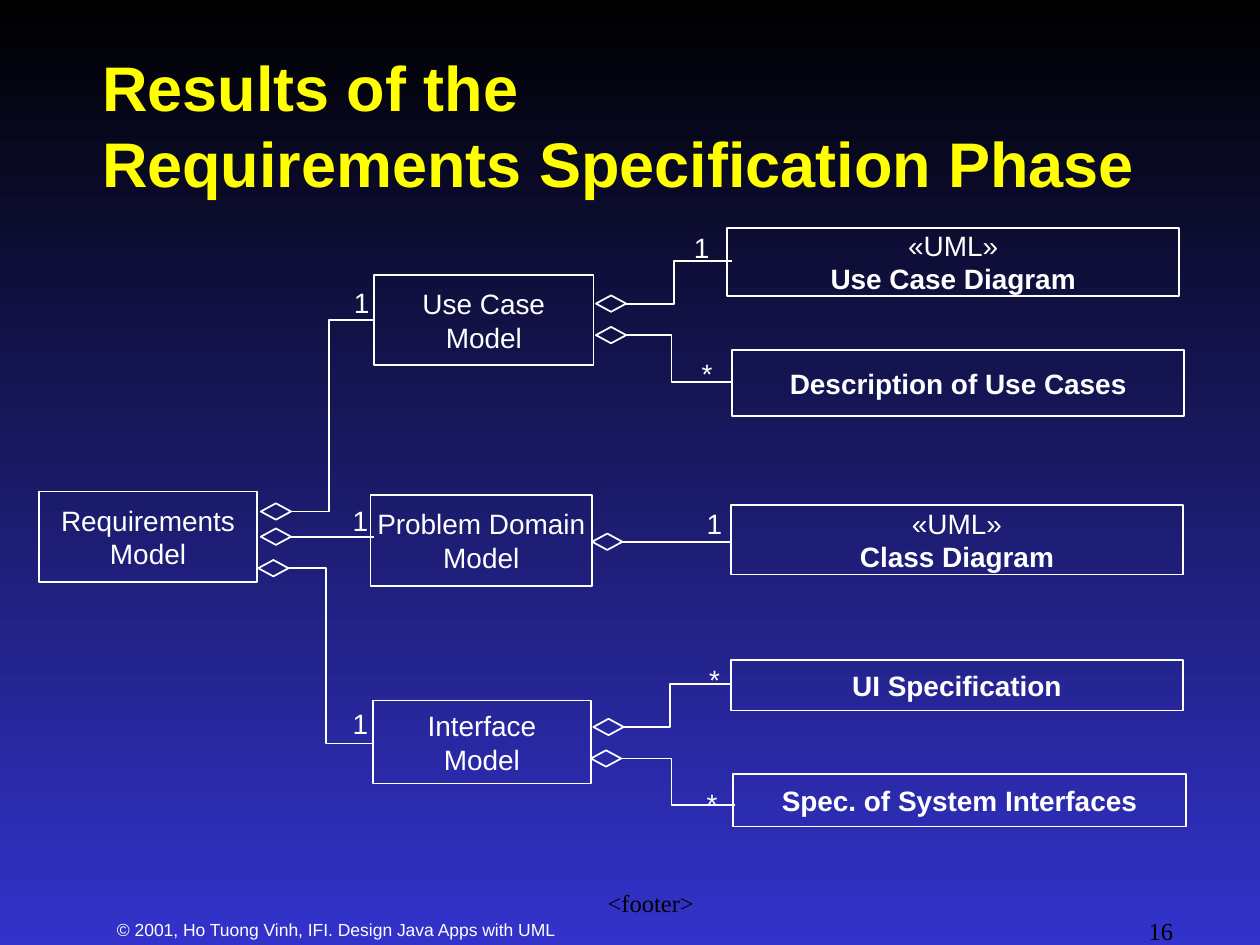
from lxml.etree import SubElement
from pptx import Presentation
from pptx.dml.color import RGBColor
from pptx.enum.shapes import MSO_CONNECTOR as Line, MSO_SHAPE as Shape
from pptx.enum.text import MSO_ANCHOR as Anchor, MSO_AUTO_SIZE as Auto, PP_ALIGN as Align
from pptx.oxml.ns import qn
from pptx.util import Inches, Pt

BLACK = RGBColor(0x00, 0x00, 0x00)
BLUE = RGBColor(0x33, 0x33, 0xCC)
WHITE = RGBColor(0xFF, 0xFF, 0xFF)
YELLOW = RGBColor(0xFF, 0xFF, 0x00)

BODY = {"name": "Arial", "size": Pt(16), "bold": False}
HEAD = {"name": "Arial", "size": Pt(36), "bold": True}
NOTE = {"name": "Arial", "size": Pt(10)}
SERIF = {"name": "Times New Roman", "size": Pt(14)}
INSET = {"margin_left": Inches(0.1), "margin_right": Inches(0.1),
         "margin_top": Inches(0.05), "margin_bottom": Inches(0.05)}
NODE = {**INSET, "word_wrap": False, "vertical_anchor": Anchor.MIDDLE}
MARK = {**INSET, "word_wrap": False, "auto_size": Auto.SHAPE_TO_FIT_TEXT}
TITLE = {**INSET, "word_wrap": True, "vertical_anchor": Anchor.MIDDLE,
         "auto_size": Auto.NONE}

GEM_W, GEM_H = 0.24, 0.13

MODELS = [
    ((0.31, 3.9, 1.73, 0.72), ["Requirements", "Model"]),
    ((2.97, 2.18, 1.74, 0.72), ["Use Case", "Model"]),
    ((2.94, 3.93, 1.76, 0.72), ["Problem Domain", "Model"]),
    ((2.96, 5.56, 1.73, 0.66), ["Interface", "Model"]),
]
PARTS = [
    ((5.77, 1.81, 3.59, 0.54), ["«UML»", "Use Case Diagram"]),
    ((5.81, 2.78, 3.59, 0.52), ["Description of Use Cases"]),
    ((5.8, 4.01, 3.59, 0.55), ["«UML»", "Class Diagram"]),
    ((5.8, 5.24, 3.59, 0.4), ["UI Specification"]),
    ((5.82, 6.14, 3.59, 0.42), ["Spec. of System Interfaces"]),
]
LINKS = [
    ((2.31, 4.06, 0.66, -1.52), 0.3, "1", (2.71, 2.22)),
    ((2.31, 4.26, 0.66, 0), 0, "1", (2.7, 3.95)),
    ((2.29, 4.51, 0.66, 1.39), 0.3, "1", (2.7, 5.56)),
    ((4.97, 2.41, 0.84, -0.34), 0.38, "1", (5.41, 1.78)),
    ((4.97, 2.66, 0.83, 0.37), 0.36, "*", (5.47, 2.78)),
    ((4.94, 4.3, 0.86, 0), 0, "1", (5.51, 3.97)),
    ((4.95, 5.77, 0.85, -0.34), 0.37, "*", (5.53, 5.21)),
    ((4.93, 6.02, 0.9, 0.37), 0.4, "*", (5.51, 6.19)),
]


def style(item, form):
    for key, value in form.items():
        setattr(item, key, value)


def scale(box):
    return [Inches(n) for n in box]


def write(frame, lines, form, font, color, align):
    style(frame, form)
    frame.text = "\n".join(lines)
    for para in frame.paragraphs:
        para.alignment = align
        for run in para.runs:
            style(run.font, font)
            run.font.color.rgb = color


def trace(item):
    item.line.color.rgb = WHITE
    item.line.width = Pt(1)


def clear(item):
    item.shadow.inherit = False
    item.fill.background()
    trace(item)


def node(shapes, box, lines, strong):
    rect = shapes.add_shape(Shape.RECTANGLE, *scale(box))
    clear(rect)
    write(rect.text_frame, lines, NODE, BODY, WHITE, Align.CENTER)
    for run in rect.text_frame.paragraphs[-1].runs:
        run.font.bold = strong


def path(shapes, box, bend):
    x, y, w, h = box
    if h:
        build = shapes.build_freeform(Inches(x), Inches(y))
        turns = [(x + bend, y), (x + bend, y + h), (x + w, y + h)]
        build.add_line_segments([scale(spot) for spot in turns], close=False)
        clear(build.convert_to_shape())
    else:
        line = shapes.add_connector(Line.STRAIGHT, *scale((x, y, x + w, y)))
        trace(line)
        SubElement(line._element.spPr, qn("a:effectLst"))


def link(shapes, box, bend, sign, spot):
    x, y = box[:2]
    path(shapes, box, bend)
    gem = (x - GEM_W, y - GEM_H / 2, GEM_W, GEM_H)
    clear(shapes.add_shape(Shape.DIAMOND, *scale(gem)))
    width = 0.33 if sign == "1" else 0.29
    text = shapes.add_textbox(*scale((*spot, width, 0.37)))
    write(text.text_frame, [sign], MARK, BODY, WHITE, Align.LEFT)


def head(slide, box):
    title = slide.shapes.title
    style(title, dict(zip(("left", "top", "width", "height"), scale(box))))
    lines = ["Results of the\vRequirements Specification Phase"]
    write(title.text_frame, lines, TITLE, HEAD, YELLOW, Align.LEFT)


def foot(shapes, box):
    x, y, w, h = box
    rows = [
        (0, 0, 5.42, 0.37, "© 2001, Ho Tuong Vinh, IFI. Design Java Apps with UML",
         NOTE, WHITE, Align.LEFT),
        (2.75, 0.08, 3.17, 0.05, "<footer>", SERIF, BLACK, Align.CENTER),
        (w - 2.08, 0.08, 2.08, 0.27, "16", SERIF, BLACK, Align.RIGHT),
    ]
    for dx, dy, wide, gap, words, font, color, align in rows:
        text = shapes.add_textbox(*scale((x + dx, y + dy, wide, h)))
        form = {**INSET, "margin_top": Inches(gap), "word_wrap": True}
        write(text.text_frame, [words], form, font, color, align)


def chart(shapes):
    for row in MODELS:
        node(shapes, *row, False)
    for row in PARTS:
        node(shapes, *row, True)
    for row in LINKS:
        link(shapes, *row)


def paint(slide):
    fill = slide.background.fill
    fill.gradient()
    fill.gradient_angle = 270
    for stop, color, place in zip(fill.gradient_stops, (BLACK, BLUE), (0, 1)):
        stop.color.rgb = color
        stop.position = place


def main():
    deck = Presentation()
    style(deck, {"slide_width": Inches(10), "slide_height": Inches(7.5)})
    slide = deck.slides.add_slide(deck.slide_layouts[5])
    paint(slide)
    foot(slide.shapes, (0.83, 6.92, 8.58, 0.5))
    head(slide, (0.71, 0.36, 8.75, 1.25))
    chart(slide.shapes)
    deck.save("out.pptx")


if __name__ == "__main__":
    main()
